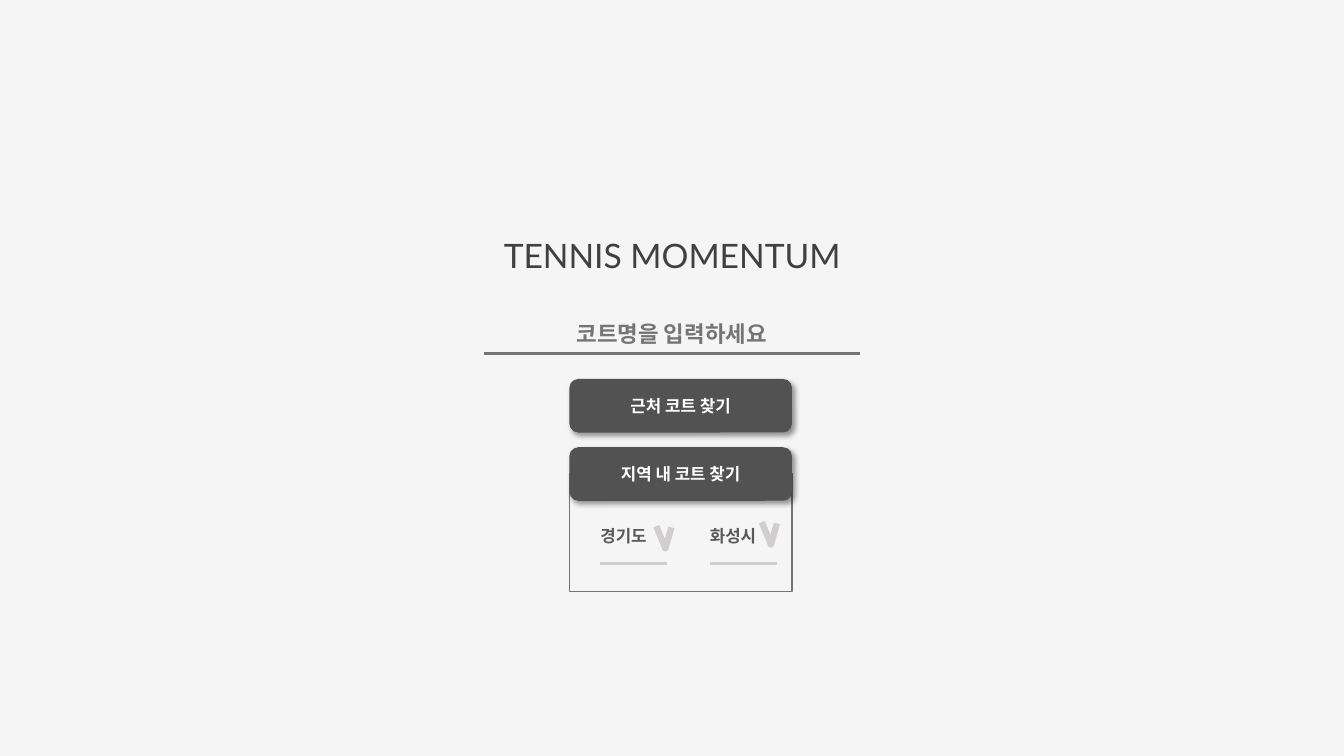
from dataclasses import dataclass

from lxml import etree
from pptx import Presentation
from pptx.dml.color import RGBColor
from pptx.enum.shapes import MSO_CONNECTOR, MSO_SHAPE
from pptx.enum.text import MSO_ANCHOR, MSO_AUTO_SIZE, PP_ALIGN
from pptx.oxml import parse_xml
from pptx.oxml.ns import nsdecls, qn
from pptx.util import Cm, Pt

LINE = MSO_CONNECTOR.STRAIGHT
RECT, ROUND = MSO_SHAPE.RECTANGLE, MSO_SHAPE.ROUNDED_RECTANGLE
TOP, MIDDLE = MSO_ANCHOR.TOP, MSO_ANCHOR.MIDDLE
LEFT, CENTER = PP_ALIGN.LEFT, PP_ALIGN.CENTER
GROW = MSO_AUTO_SIZE.SHAPE_TO_FIT_TEXT


@dataclass(frozen=True)
class Theme:
    page: str = "F5F5F5"
    button: str = "525252"
    white: str = "FFFFFF"
    title: str = "404040"
    label: str = "595959"
    border: str = "757575"
    pale: str = "D0CECE"
    body: str = "Arial"
    head: str = "Lato"
    small: int = 12
    medium: int = 16
    large: int = 24
    thin: float = 1
    rule: float = 2.25
    thick: float = 4.5


def write(shape, text, size, color, font, bold=True, align=CENTER, anchor=MIDDLE):
    frame = shape.text_frame
    frame.word_wrap = True
    frame.vertical_anchor = anchor
    para = frame.paragraphs[0]
    para.alignment = align
    run = para.add_run()
    run.text = text
    run.font.size = Pt(size)
    run.font.name = font
    run.font.bold = bold
    run.font.color.rgb = RGBColor.from_string(color)


class Canvas:
    def __init__(self, slide, theme):
        self.slide = slide
        self.theme = theme
        self.paint(slide.background.fill, theme.page)

    def paint(self, fill, color):
        fill.solid()
        fill.fore_color.rgb = RGBColor.from_string(color)

    def stroke(self, shape, color, width):
        shape.line.color.rgb = RGBColor.from_string(color)
        shape.line.width = Pt(width)

    def box(self, kind, x, y, w, h):
        shape = self.slide.shapes.add_shape(kind, Cm(x), Cm(y), Cm(w), Cm(h))
        shape.shadow.inherit = False
        shape.fill.background()
        shape.line.fill.background()
        return shape

    def panel(self, x, y, w, h):
        self.stroke(self.box(RECT, x, y, w, h), self.theme.border, self.theme.thin)

    def button(self, text, x, y, w, h):
        theme = self.theme
        shape = self.box(ROUND, x, y, w, h)
        self.paint(shape.fill, theme.button)
        effects = shape._element.spPr.find(qn("a:effectLst"))
        effects.append(parse_xml(
            f'<a:outerShdw {nsdecls("a")} blurRad="{Pt(4)}" dist="{Pt(3)}" '
            'dir="2700000" algn="tl" rotWithShape="0"><a:srgbClr val="000000">'
            '<a:alpha val="40000"/></a:srgbClr></a:outerShdw>'))
        write(shape, text, theme.small, theme.white, theme.body)

    def field(self, text, x, y, w, h):
        theme = self.theme
        shape = self.box(ROUND, x, y, w, h)
        shape.adjustments[0] = 0.5
        write(shape, text, theme.medium, theme.border, theme.body)

    def label(self, text, x, y, w, h, **style):
        shape = self.slide.shapes.add_textbox(Cm(x), Cm(y), Cm(w), Cm(h))
        write(shape, text, anchor=TOP, **style)
        shape.text_frame.auto_size = GROW

    def rule(self, x, y, w, color):
        line = self.slide.shapes.add_connector(LINE, Cm(x), Cm(y), Cm(x + w), Cm(y))
        self.stroke(line, color, self.theme.rule)
        etree.SubElement(line._element.spPr, qn("a:effectLst"))

    def arrow(self, x, y):
        path = self.slide.shapes.build_freeform(Cm(x), Cm(y))
        ends = [(Cm(x + 0.23), Cm(y + 0.56)), (Cm(x + 0.38), Cm(y + 0.03))]
        path.add_line_segments(ends, close=False)
        shape = path.convert_to_shape()
        shape.shadow.inherit = False
        shape.fill.background()
        self.stroke(shape, self.theme.pale, self.theme.thick)

    def option(self, text, x, tip_x, tip_y):
        theme = self.theme
        self.rule(x + 0.25, 14.2, 1.68, theme.pale)
        self.label(text, x, 13.13, 1.78, 0.76, size=theme.small,
                   color=theme.label, font=theme.body, align=LEFT)
        self.arrow(tip_x, tip_y)


def main():
    deck = Presentation()
    deck.slide_width, deck.slide_height = Cm(33.87), Cm(19.05)
    theme = Theme()
    page = Canvas(deck.slides.add_slide(deck.slide_layouts[6]), theme)
    left, wide, high = 14.35, 5.61, 1.35

    page.button("근처 코트 찾기", left, 9.55, wide, high)
    page.option("경기도", 14.88, 16.54, 13.26)
    page.option("화성시", 17.64, 19.2, 13.16)
    page.panel(left, 11.94, wide, 2.97)
    page.button("지역 내 코트 찾기", left, 11.27, wide, high)
    page.label("TENNIS MOMENTUM", 10.64, 5.8, 12.6, 1.28, size=theme.large,
               color=theme.title, font=theme.head, bold=False)
    page.field("코트명을 입력하세요", 9.63, 7.5, 14.6, 1.8)
    page.rule(12.2, 8.9, 9.48, theme.border)

    deck.save("out.pptx")


if __name__ == "__main__":
    main()
